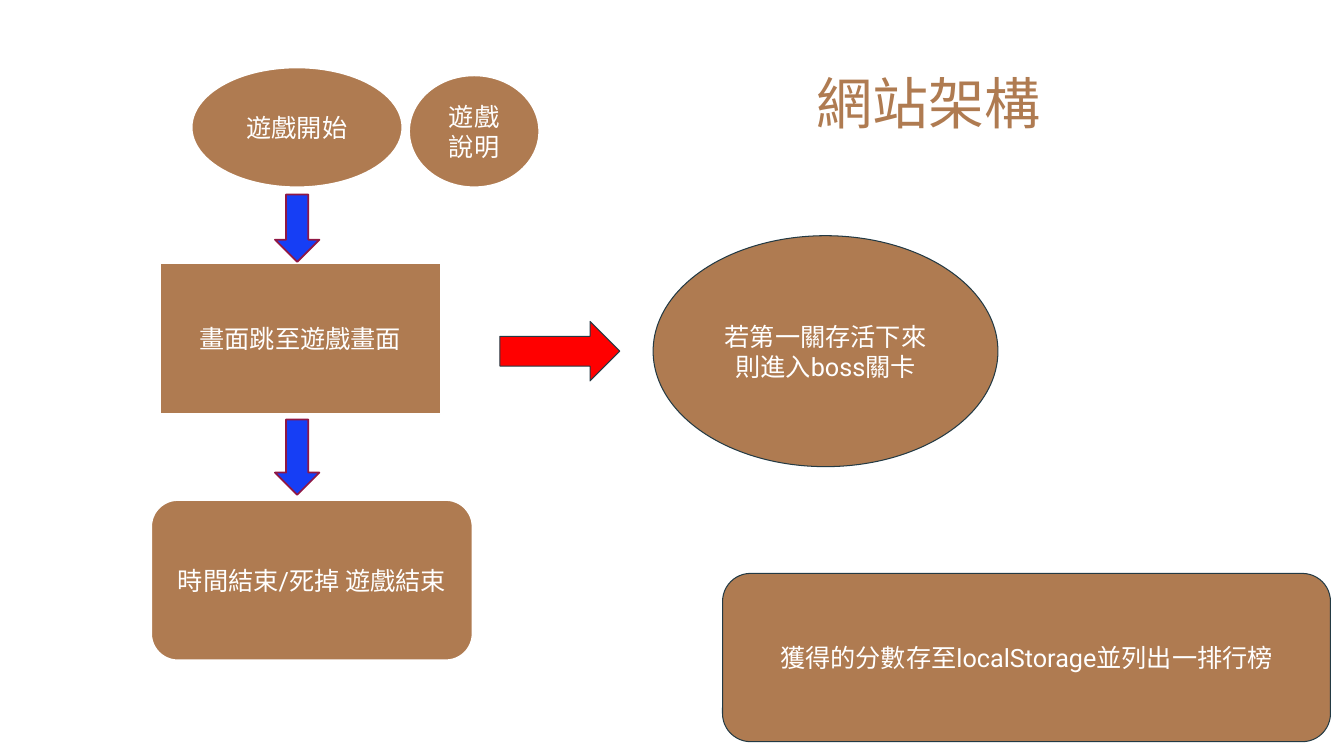
import pptx
import pptx.util
import pptx.dml.color
import pptx.enum.shapes
import pptx.enum.text
from pptx.util import Cm

SHAPE = pptx.enum.shapes.MSO_SHAPE
ALIGN = pptx.enum.text.PP_ALIGN
ANCHOR = pptx.enum.text.MSO_ANCHOR

COLORS = {
    "brown": "AF7B51",
    "white": "FFFFFF",
    "blue": "163EF5",
    "crimson": "901844",
    "red": "FF0000",
    "slate": "233A44",
}


class FlowSlide:
    """Holds the text style and the slide being filled."""

    font = "Roboto"
    title_size = 40
    node_size = 18

    def __init__(self, prs):
        self.s = prs.slides.add_slide(prs.slide_layouts[6])

    def color(self, name):
        return pptx.dml.color.RGBColor.from_string(COLORS[name])

    def set_text(self, tf, text, size, color, align, anchor):
        tf.word_wrap = True
        tf.vertical_anchor = anchor
        p = tf.paragraphs[0]
        p.text = text
        p.alignment = align
        p.font.name = self.font
        p.font.size = pptx.util.Pt(size)
        p.font.color.rgb = self.color(color)

    def title(self, text, left, top, width, height, bottom_inset):
        tf = self.s.shapes.add_textbox(
            Cm(left), Cm(top), Cm(width), Cm(height)).text_frame
        tf.margin_bottom = Cm(bottom_inset)
        self.set_text(tf, text, self.title_size, "brown",
                      ALIGN.LEFT, ANCHOR.BOTTOM)

    def shape(self, kind, box, fill, line, weight):
        sp = self.s.shapes.add_shape(kind, *[Cm(v) for v in box])
        sp.shadow.inherit = False
        sp.fill.solid()
        sp.fill.fore_color.rgb = self.color(fill)
        sp.line.color.rgb = self.color(line)
        sp.line.width = pptx.util.Pt(weight)
        return sp

    def node(self, kind, text, *box, line="white", weight=1.25):
        sp = self.shape(kind, box, "brown", line, weight)
        self.set_text(sp.text_frame, text, self.node_size, "white",
                      ALIGN.CENTER, ANCHOR.MIDDLE)

    def down_arrow(self, top, height):
        self.shape(SHAPE.DOWN_ARROW, (6.93, top, 1.12, height),
                   "blue", "crimson", 1.25)

    def right_arrow(self, *box):
        self.shape(SHAPE.RIGHT_ARROW, box, "red", "slate", 0.75)


def main():
    prs = pptx.Presentation()
    prs.slide_width, prs.slide_height = Cm(33.87), Cm(19.05)
    flow = FlowSlide(prs)
    outlined = {"line": "slate", "weight": 0.75}

    flow.title("網站架構", 20.32, 0.3, 10.16, 4.93, bottom_inset=1.8)
    flow.node(SHAPE.RECTANGLE, "畫面跳至遊戲畫面", 4.04, 6.63, 7.06, 3.81)
    flow.node(SHAPE.ROUNDED_RECTANGLE, "時間結束/死掉 遊戲結束",
              3.81, 12.6, 8.1, 4.04)
    flow.node(SHAPE.OVAL, "遊戲說明", 10.31, 1.9, 3.28, 2.82)
    flow.node(SHAPE.OVAL, "遊戲開始", 4.83, 1.7, 5.31, 3.02)
    flow.down_arrow(4.9, 1.7)
    flow.down_arrow(10.57, 1.9)
    flow.right_arrow(12.6, 8.1, 3.02, 1.5)
    flow.node(SHAPE.OVAL, "若第一關存活下來則進入boss關卡",
              16.46, 5.94, 8.69, 5.82, **outlined)
    flow.node(SHAPE.ROUNDED_RECTANGLE, "獲得的分數存至localStorage並列出一排行榜",
              18.21, 14.45, 15.32, 4.24, **outlined)
    prs.save("out.pptx")


if __name__ == "__main__":
    main()
